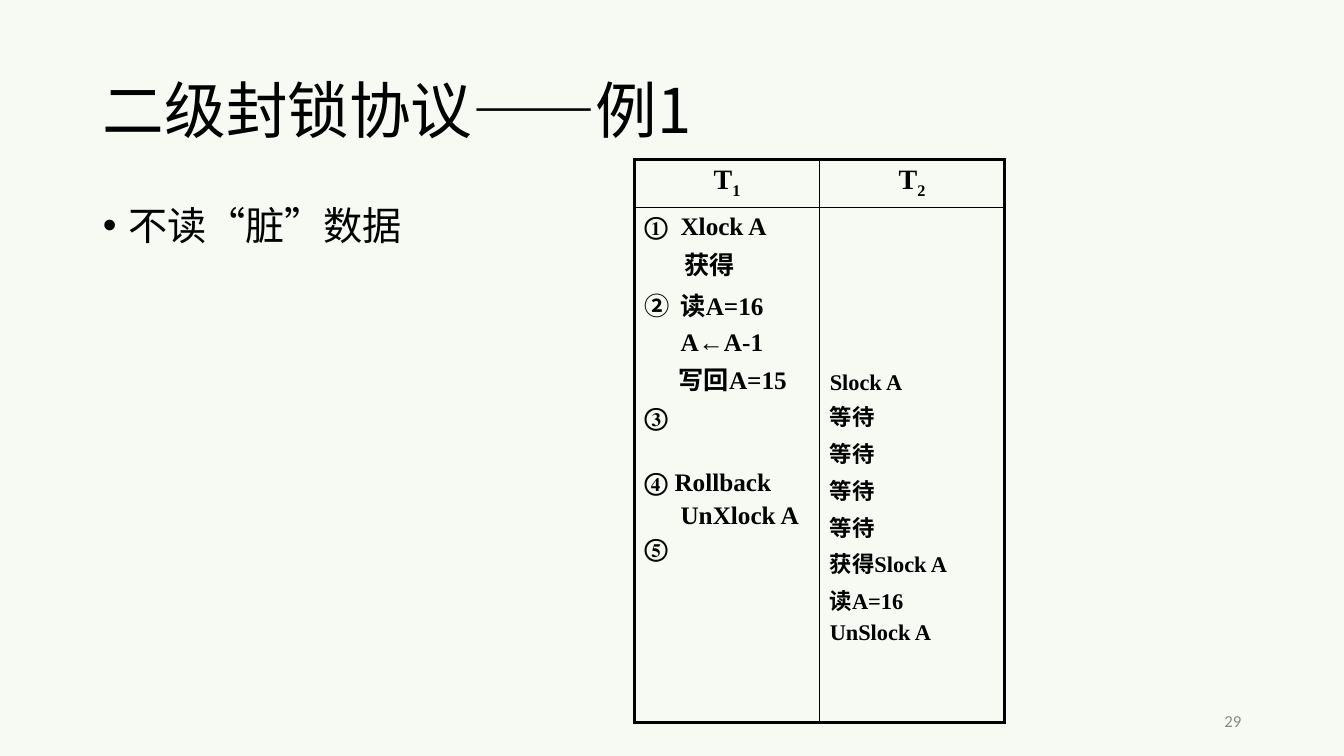
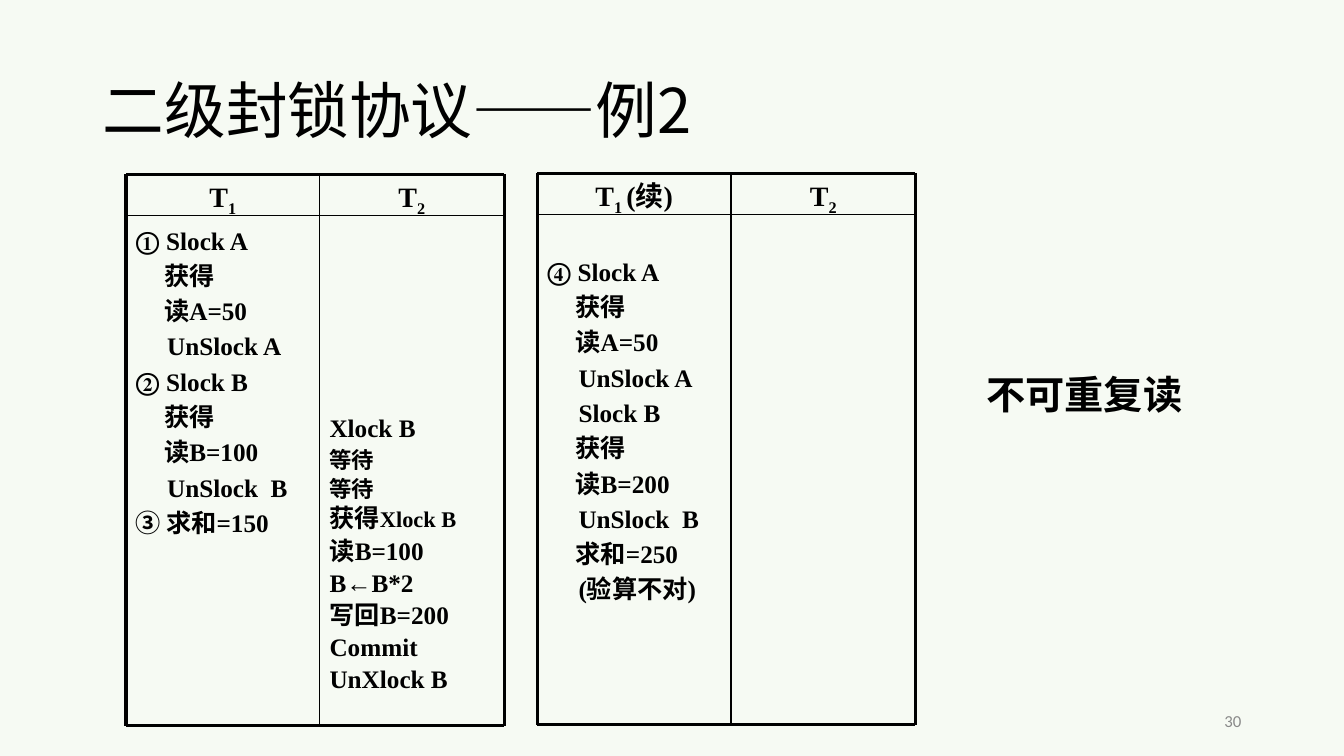
from lxml import etree
from pptx import Presentation
from pptx.dml.color import RGBColor
from pptx.enum import shapes, text as t
from pptx.oxml import ns
from pptx.util import Inches, Pt

# Shared look
BACKGROUND = RGBColor(0xF6, 0xFA, 0xF3)
BLACK = RGBColor(0, 0, 0)
GRAY = RGBColor(0x89, 0x89, 0x89)
SANS = "Noto Sans CJK SC"
SERIF = "Times New Roman"
NUMBER_FONT = "Calibri"
THICK, THIN = 2.25, 1
LINE = 21  # line height of schedule steps, in points
STEP_SIZE, SMALL = 18, 16

# Ruled schedules: column widths, header height and full height in inches
WIDTHS = (1.92, 1.83)
HEADER, HEIGHT = 0.41, 5.47


def even_steps(*texts):
    """Evenly spaced steps; the indent depends on how the step begins."""
    def left(text):
        return 0.3 if "\t" in text else 0.31 if text[0] in "US(" else 0.28
    return [(text, left(text), 4.2) for text in texts]


# Schedule steps: (text, indent in inches, gap before in points[, size[, small tail]])
# A tab in the text separates the step number from its action.
DIRTY_T1 = [
    ("①\tXlock A", 0.36, 0), ("获得", 0.4, 8), ("②\t读A=16", 0.36, 8.5),
    ("A←A-1", 0.36, 3), ("写回A=15", 0.34, 8), ("③", 0, 3.5),
    ("④\tRollback", 0.3, 26), ("UnXlock A", 0.36, 2.5), ("⑤", 0, 2.5),
]
DIRTY_T2 = [
    ("Slock A", 0, 0, SMALL), ("等待", 0, 5, SMALL), ("等待", 0, 5.5, SMALL),
    ("等待", 0, 5.5, SMALL), ("等待", 0, 5.5, SMALL),
    ("获得Slock A", 0, 4.5, SMALL), ("读A=16", 0, 5.5, SMALL),
    ("UnSlock A", 0, 0, SMALL),
]
REPEAT_T1 = even_steps(
    "①\tSlock A", "获得", "读A=50", "UnSlock A", "②\tSlock B", "获得",
    "读B=100", "UnSlock  B", "③\t求和=150")
REPEAT_T2 = [
    ("Xlock B", 0, 0), ("等待", 0, 0.5, SMALL), ("等待", 0, 0, SMALL),
    ("获得", 0, 1, STEP_SIZE, "Xlock B"), ("读B=100", 0, 2), ("B←B*2", 0, 2),
    ("写回B=200", 0, 2), ("Commit", 0, 1.5), ("UnXlock B", 0, 2),
]
REPEAT_T1_NEXT = even_steps(
    "④\tSlock A", "获得", "读A=50", "UnSlock A", "Slock B", "获得",
    "读B=200", "UnSlock  B", "求和=250", "(验算不对)")


def style(font, name, size, color=BLACK, bold=False):
    font.size, font.bold = Pt(size), bold
    font.color.rgb = color
    font.name = name
    etree.SubElement(font._element, ns.qn("a:ea"), typeface=SANS)


def indent(p, left, first):
    pPr = p._p.get_or_add_pPr()
    pPr.set("marL", str(Inches(left)))
    pPr.set("indent", str(Inches(first)))


def place(sp, left, top, width, height):
    sp.left, sp.top = Inches(left), Inches(top)
    sp.width, sp.height = Inches(width), Inches(height)


def add_title(s, title):
    sp = s.shapes.title
    place(sp, 0.92, 0.4, 11.5, 1.45)
    tf = sp.text_frame
    tf.text = title
    tf.vertical_anchor = t.MSO_ANCHOR.MIDDLE
    p = tf.paragraphs[0]
    p.alignment, p.line_spacing = t.PP_ALIGN.LEFT, 0.9
    style(p.font, SANS, 44)


def add_bullet(s, text):
    sp = s.placeholders[1]
    place(sp, 0.92, 2, 11.5, 4.76)
    sp.text_frame.text = text
    p = sp.text_frame.paragraphs[0]
    indent(p, 0.25, -0.25)
    p.line_spacing, p.space_before = 0.9, Pt(0)
    style(p.font, SANS, 28)


def add_box(s, *box, wrap=True):
    tf = s.shapes.add_textbox(*map(Inches, box)).text_frame
    tf.word_wrap = wrap
    return tf


def add_label(s, text, box, align, wrap, *look):
    tf = add_box(s, *box, wrap=wrap)
    tf.text = text
    tf.vertical_anchor = t.MSO_ANCHOR.MIDDLE
    p = tf.paragraphs[0]
    p.alignment = align
    style(p.font, *look)


def add_slide_number(s, number):
    add_label(s, str(number), (9.41, 6.95, 3, 0.4), t.PP_ALIGN.RIGHT, True,
              NUMBER_FONT, 12, GRAY)


def add_line(s, x1, y1, x2, y2, width):
    line = s.shapes.add_connector(shapes.MSO_CONNECTOR.STRAIGHT,
                                  *map(Inches, (x1, y1, x2, y2)))
    line.line.color.rgb, line.line.width = BLACK, Pt(width)
    etree.SubElement(line._element.spPr, ns.qn("a:effectLst"))


def set_borders(cell, row, col):
    """Thick lines outside, thin lines inside a 2 by 2 table."""
    cell.fill.background()
    tcPr = cell._tc.get_or_add_tcPr()
    outer = {"L": col == 0, "R": col == 1, "T": row == 0, "B": row == 1}
    for i, (side, is_outer) in enumerate(outer.items()):
        ln = etree.Element(ns.qn("a:ln" + side),
                           w=str(Pt(THICK if is_outer else THIN)))
        fill = etree.SubElement(ln, ns.qn("a:solidFill"))
        etree.SubElement(fill, ns.qn("a:srgbClr"), val=str(BLACK))
        tcPr.insert(i, ln)


def fill_header(tf, index, suffix=""):
    p = tf.paragraphs[0]
    p.alignment, p.line_spacing = t.PP_ALIGN.CENTER, Pt(24)
    style(p.font, SERIF, 20, bold=True)
    for text in filter(None, ("T", index, suffix)):
        r = p.add_run()
        r.text = text
        if text == index:
            r._r.get_or_add_rPr().set("baseline", "-25000")


def fill_steps(tf, steps):
    for i, (text, left, gap, *extra) in enumerate(steps):
        size, tail = (*extra, STEP_SIZE, "")[:2] if not extra else (*extra, "")[:2]
        p = tf.add_paragraph() if i else tf.paragraphs[0]
        p.text = text
        indent(p, left, -left if "\t" in text else 0)
        p.line_spacing = Pt(LINE)
        p.space_before = Pt(gap if i else 0)
        style(p.font, SERIF, size, bold=True)
        if tail:
            r = p.add_run()
            r.text, r.font.size = tail, Pt(SMALL)


def add_table_schedule(s, left, top, widths, heights, columns):
    """columns holds (steps, top margin in inches) for T1 and T2."""
    box = (left, top, sum(widths), sum(heights))
    table = s.shapes.add_table(2, 2, *map(Inches, box)).table
    table.first_row = table.horz_banding = False
    for row, height in enumerate(heights):
        table.rows[row].height = Inches(height)
    for col, (steps, margin) in enumerate(columns):
        table.columns[col].width = Inches(widths[col])
        head, body = (table.cell(row, col) for row in range(2))
        for row, cell in enumerate((head, body)):
            set_borders(cell, row, col)
        head.margin_top, head.margin_bottom = Inches(0.07), Inches(0.02)
        body.margin_top = Inches(margin)
        fill_header(head.text_frame, str(col + 1))
        fill_steps(body.text_frame, steps)


def add_ruled_schedule(s, left, top, body_top, columns, suffix=""):
    """Two columns of text boxes inside ruled lines; columns as above."""
    middle, right = left + WIDTHS[0], left + sum(WIDTHS)
    bottom = top + HEIGHT
    for col, (x, (steps, margin)) in enumerate(zip((left, middle), columns)):
        tf = add_box(s, x, top, WIDTHS[col], 0.42)
        tf.margin_top, tf.margin_bottom = Inches(0.1), 0
        if suffix and col == 0:
            fill_header(tf, "1 ", suffix)
        else:
            fill_header(tf, str(col + 1))
        if steps:
            tf = add_box(s, x, body_top, WIDTHS[1 - col], 5.06)
            tf.margin_top = Inches(margin)
            fill_steps(tf, steps)
    for y, width in ((top, THICK), (top + HEADER, THIN), (bottom, THICK)):
        add_line(s, left, y, right, y, width)
    for x, width in ((left, THICK), (middle, THIN), (right, THICK)):
        add_line(s, x, top, x, bottom, width)


def main():
    prs = Presentation()
    prs.slide_width, prs.slide_height = Inches(13.33), Inches(7.5)
    fill = prs.slide_master.background.fill
    fill.solid()
    fill.fore_color.rgb = BACKGROUND

    # Example 1: no dirty reads
    s = prs.slides.add_slide(prs.slide_layouts[1])
    add_title(s, "二级封锁协议——例1")
    add_bullet(s, "不读“脏”数据")
    add_table_schedule(s, 6.29, 1.58, (1.84, 1.83), (0.48, 5.11),
                       [(DIRTY_T1, 0.04), (DIRTY_T2, 1.57)])
    add_slide_number(s, 29)

    # Example 2: non-repeatable read
    s = prs.slides.add_slide(prs.slide_layouts[5])
    add_title(s, "二级封锁协议——例2")
    add_ruled_schedule(s, 1.25, 1.73, 2.17,
                       [(REPEAT_T1, 0.07), (REPEAT_T2, 1.93)])
    add_ruled_schedule(s, 5.33, 1.72, 1.98,
                       [(REPEAT_T1_NEXT, 0.57), ([], 0)], "(续)")
    add_label(s, "不可重复读", (9.34, 3.57, 2.83, 0.67), t.PP_ALIGN.CENTER,
              False, SANS, 28, BLACK, True)
    add_slide_number(s, 30)

    prs.save("out.pptx")


if __name__ == "__main__":
    main()
